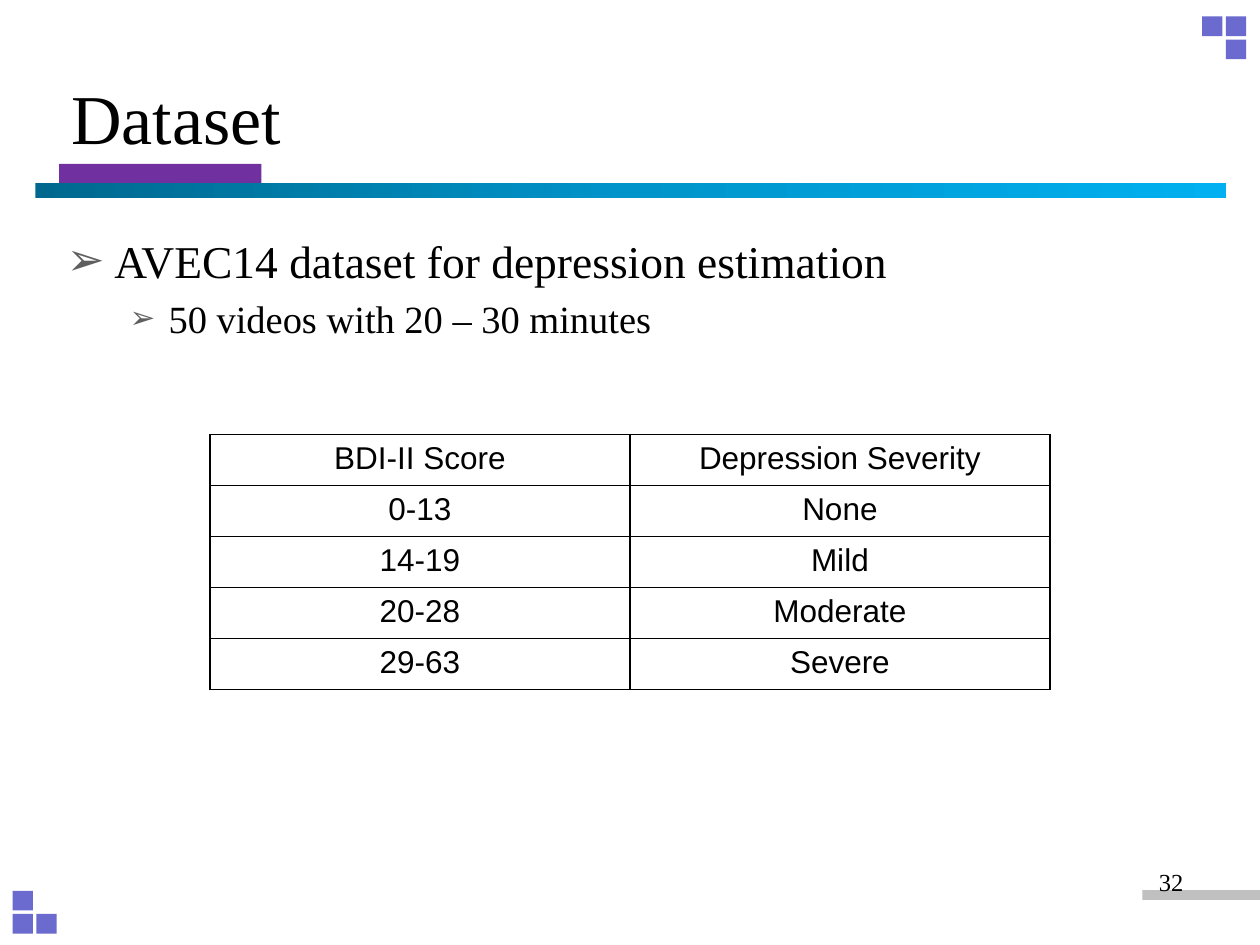
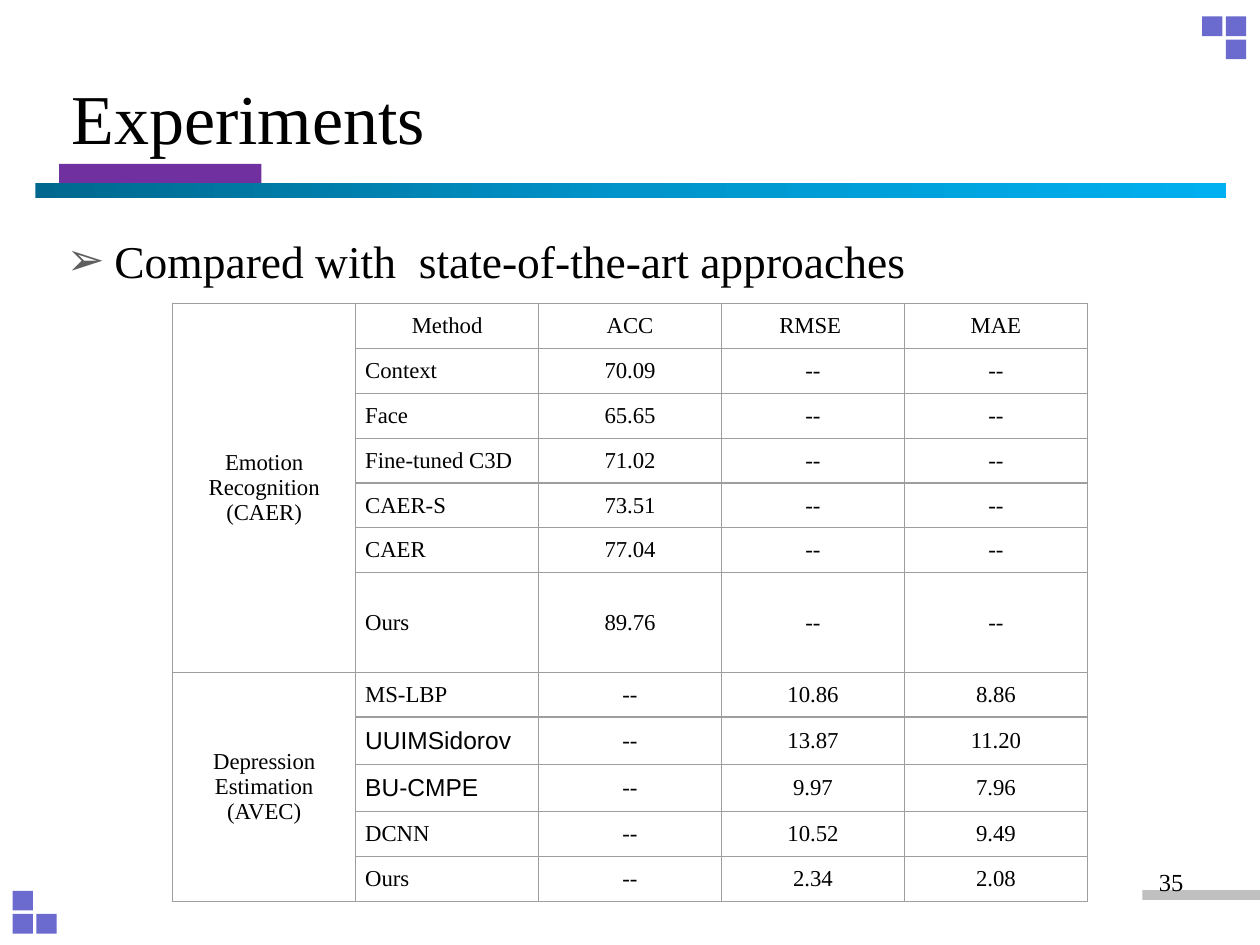
import copy
import dataclasses

import pptx
import pptx.dml.color
import pptx.enum.shapes
import pptx.enum.text
import pptx.oxml
import pptx.oxml.ns
import pptx.util

qn = pptx.oxml.ns.qn
ALIGN = {"l": pptx.enum.text.PP_ALIGN.LEFT,
         "c": pptx.enum.text.PP_ALIGN.CENTER,
         "r": pptx.enum.text.PP_ALIGN.RIGHT}
TOP = pptx.enum.text.MSO_ANCHOR.TOP
MIDDLE = pptx.enum.text.MSO_ANCHOR.MIDDLE


@dataclasses.dataclass(frozen=True)
class Theme:
    ink: str = "000000"
    mark: str = "5F5F5F"
    square: str = "6B6BCF"
    tab: str = "7030A0"
    band: tuple = ((0, "00688E"), (0.5, "0094CA"), (1, "00B0F0"))
    foot: str = "C0C0C0"
    grid: str = "9E9E9E"
    serif: str = "Times New Roman"
    sans: str = "Arial"
    title: int = 40
    points: tuple = (26, 22)
    page: int = 14
    score: int = 18
    cell: int = 13
    wide: int = 14


THEME = Theme()
COLS, ROWS = 100, 75  # grid of the slide


@dataclasses.dataclass(frozen=True)
class Box:
    """A region in columns and rows of the slide grid."""
    left: float
    top: float
    width: float
    height: float

    def inner(self, x, y, w, h):
        """A region given in shares of this one."""
        return Box(self.left + x * self.width, self.top + y * self.height,
                   w * self.width, h * self.height)

    def place(self):
        unit = pptx.util.Inches(10) / COLS
        return [round(n * unit) for n in
                (self.left, self.top, self.width, self.height)]


PAGE = Box(0, 0, COLS, ROWS)


def rgb(code):
    return pptx.dml.color.RGBColor.from_string(code)


def node(parent, tag, **attrs):
    item = parent.makeelement(qn(tag), attrs)
    parent.append(item)
    return item


# Text
def write(frame, lines, size=THEME.cell, font=THEME.serif, align="l",
          anchor=TOP, marks=()):
    """Fill a frame; each of marks is (size, indent, hang, bullet percent)."""
    frame.word_wrap = True
    frame.vertical_anchor = anchor
    for i, line in enumerate(lines):
        para = frame.paragraphs[0] if i == 0 else frame.add_paragraph()
        para.alignment = ALIGN[align]
        if marks:
            size, indent, hang, share = marks[i]
            bullet(para, indent, hang, share)
            para.level = i
            para.space_before = pptx.util.Pt(size * 0.2 if i else 0)
        run = para.add_run()
        run.text = line
        run.font.size = pptx.util.Pt(size)
        run.font.name = font
        run.font.bold = False
        run.font.color.rgb = rgb(THEME.ink)


def bullet(para, indent, hang, share):
    props = para._p.get_or_add_pPr()
    props.set("marL", str(pptx.util.Inches(indent)))
    props.set("indent", str(-pptx.util.Inches(hang)))
    node(node(props, "a:buClr"), "a:srgbClr", val=THEME.mark)
    node(props, "a:buSzPct", val=str(share * 1000))
    node(props, "a:buFont", typeface=THEME.sans)
    node(props, "a:buChar", char="➢")


def text(slide, box, lines, **style):
    write(slide.shapes.add_textbox(*box.place()).text_frame, lines, **style)


# Frame of every slide
def block(slide, box, color):
    kind = pptx.enum.shapes.MSO_SHAPE.RECTANGLE
    shape = slide.shapes.add_shape(kind, *box.place())
    shape.shadow.inherit = False
    shape.line.fill.background()
    if isinstance(color, str):
        shape.fill.solid()
        shape.fill.fore_color.rgb = rgb(color)
        return
    shape.fill.gradient()
    shape.fill.gradient_angle = 0
    stops = shape._element.spPr.find(".//" + qn("a:gsLst"))
    stops.insert(1, copy.deepcopy(stops[0]))
    for stop, (spot, code) in zip(shape.fill.gradient_stops, color):
        stop.position = spot
        stop.color.rgb = rgb(code)


def squares(slide, box, cells):
    for col, row in cells:
        block(slide, box.inner(col * 0.54, row * 0.54, 0.46, 0.46),
              THEME.square)


def header(slide, box, title):
    block(slide, box.inner(0.02, 0.8, 0.17, 0.13), THEME.tab)
    block(slide, box.inner(0, 0.92, 1, 0.1), THEME.band)
    text(slide, box.inner(0.02, 0, 0.95, 1), [title],
         size=THEME.title, anchor=MIDDLE)


def footer(slide, box, number):
    block(slide, box.inner(0.67, 0.45, 0.33, 0.15), THEME.foot)
    text(slide, box.inner(0, 0, 0.82, 1), [str(number)],
         size=THEME.page, align="r")


def base(deck, title, number, points):
    slide = deck.slides.add_slide(deck.slide_layouts[6])
    squares(slide, Box(95.4, 1.3, 3.5, 3.4), [(0, 0), (1, 0), (1, 1)])
    squares(slide, Box(1, 70.7, 3.5, 3.4), [(0, 0), (0, 1), (1, 1)])
    header(slide, Box(2.8, 3, 94.5, 12.5), title)
    footer(slide, Box(71.7, 68.3, 28.3, 5.2), number)
    marks = list(zip(THEME.points, (0.38, 0.81), (0.38, 0.31), (100, 80)))
    text(slide, Box(4.3, 18, 90, 50), points, marks=marks)
    return slide


# Tables
def border(cell, color, width):
    props = cell._tc.get_or_add_tcPr()
    for spot, side in enumerate(("a:lnL", "a:lnR", "a:lnT", "a:lnB")):
        line = props.makeelement(
            qn(side), {"w": str(pptx.util.Pt(width))})
        node(node(line, "a:solidFill"), "a:srgbClr", val=color)
        props.insert(spot, line)


def grid(slide, box, heights, cols, color, width):
    """Add a plain table whose rows share the box by the given weights."""
    table = slide.shapes.add_table(len(heights), cols, *box.place()).table
    table.first_row = table.horz_banding = False
    for row, share in zip(table.rows, heights):
        row.height = round(box.place()[3] * share / sum(heights))
    for cell in table.iter_cells():
        cell.fill.background()
        border(cell, color, width)
    return table


def scores(slide, box, rows):
    table = grid(slide, box, [1] * len(rows), 2, THEME.ink, 1)
    for r, row in enumerate(rows):
        for c, word in enumerate(row):
            write(table.cell(r, c).text_frame, [word], size=THEME.score,
                  font=THEME.sans, align="c")


def results(slide, box, head, groups, tall, wide):
    rows = [head] + [row for _, tests in groups for row in tests]
    heights = [54 if r == tall else 27 if row[0] in wide else 25.5
               for r, row in enumerate(rows)]
    table = grid(slide, box, heights, len(head) + 1, THEME.grid, 0.75)
    for cell in table.iter_cells():
        cell.margin_left = cell.margin_right = pptx.util.Pt(5.5)
        cell.margin_top = cell.margin_bottom = pptx.util.Pt(5)
        cell.vertical_anchor = MIDDLE
    # Task names span their rows; the first also spans the head
    start = 0
    for name, tests in groups:
        end = start + len(tests) - (start > 0)
        table.cell(start, 0).merge(table.cell(end, 0))
        write(table.cell(start, 0).text_frame, name, align="c",
              anchor=MIDDLE)
        start = end + 1
    for r, row in enumerate(rows):
        for c, word in enumerate(row):
            style = {"align": "l" if r and c == 0 else "c"}
            if word in wide:
                style.update(size=THEME.wide, font=THEME.sans)
            write(table.cell(r, c + 1).text_frame, [word], anchor=MIDDLE,
                  **style)


# Content
SCORES = [("BDI-II Score", "Depression Severity"), ("0-13", "None"),
          ("14-19", "Mild"), ("20-28", "Moderate"), ("29-63", "Severe")]
HEAD = ("Method", "ACC", "RMSE ", "MAE")
NONE = "--"
MOOD = [("Context", "70.09"), ("Face", "65.65"), ("Fine-tuned C3D", "71.02"),
        ("CAER-S", "73.51"), ("CAER", "77.04"), ("Ours", "89.76")]
GLOOM = [("MS-LBP", "10.86", "8.86"), ("UUIMSidorov", "13.87", "11.20"),
         ("BU-CMPE", "9.97", "7.96"), ("DCNN", "10.52", "9.49"),
         ("Ours", "2.34", "2.08")]
GROUPS = [
    (("Emotion", "Recognition", "(CAER)"),
     [(name, acc, NONE, NONE) for name, acc in MOOD]),
    (("Depression", "Estimation", "(AVEC)"),
     [(name, NONE, rmse, mae) for name, rmse, mae in GLOOM]),
]


def main():
    deck = pptx.Presentation()
    deck.slide_width = pptx.util.Inches(10)
    deck.slide_height = pptx.util.Inches(7.5)

    slide = base(deck, "Dataset", 32,
                 ["AVEC14 dataset for depression estimation",
                  "50 videos with 20 – 30 minutes"])
    scores(slide, PAGE.inner(1 / 6, 0.46, 2 / 3, 0.27), SCORES)

    slide = base(deck, "Experiments", 35,
                 ["Compared with  state-of-the-art approaches"])
    results(slide, Box(13.7, 24.1, 72.6, 46.9), HEAD, GROUPS,
            tall=len(MOOD), wide=("UUIMSidorov", "BU-CMPE"))
    deck.save("out.pptx")


if __name__ == "__main__":
    main()
